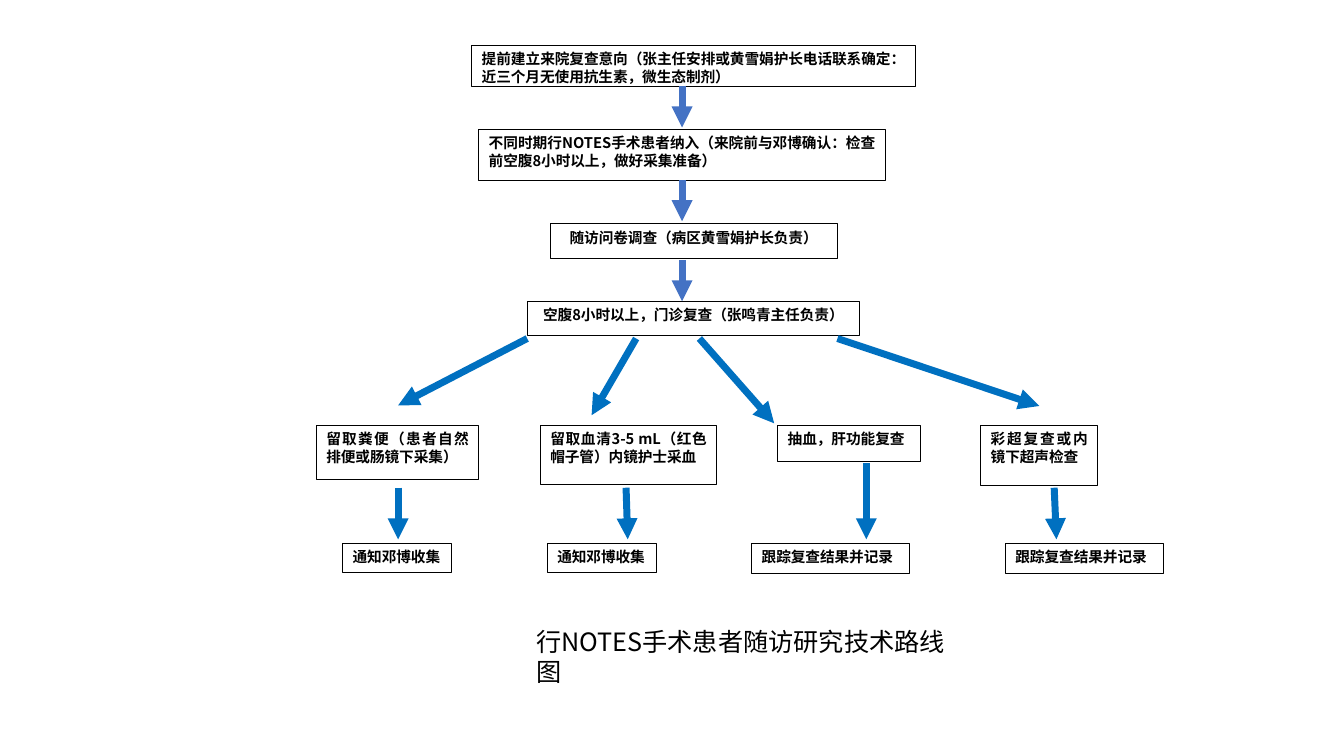
from lxml import etree
from pptx import Presentation
from pptx import util as u
from pptx.dml.color import RGBColor
from pptx.enum import shapes, text
from pptx.oxml import ns

Pt = u.Pt
FONT = "Noto Sans CJK SC"
BLACK = RGBColor(0x00, 0x00, 0x00)
WHITE = RGBColor(0xFF, 0xFF, 0xFF)
STEP_BLUE = RGBColor(0x44, 0x72, 0xC4)
BRANCH_BLUE = RGBColor(0x00, 0x70, 0xC0)
JUSTIFY, CENTER, LEFT = (text.PP_ALIGN.JUSTIFY, text.PP_ALIGN.CENTER,
                         text.PP_ALIGN.LEFT)

presentation = Presentation()
presentation.slide_width, presentation.slide_height = Pt(960), Pt(540)
slide = presentation.slides.add_slide(presentation.slide_layouts[6])


def write(shape, words, size, bold, align, wrap=True):
    frame = shape.text_frame
    frame.word_wrap = wrap
    frame.vertical_anchor = text.MSO_ANCHOR.TOP
    paragraph = frame.paragraphs[0]
    paragraph.alignment = align
    run = paragraph.add_run()
    run.text = words
    for name, value in {"name": FONT, "size": Pt(size), "bold": bold}.items():
        setattr(run.font, name, value)
    run.font.color.rgb = BLACK
    east_asian = etree.SubElement(run.font._element, ns.qn("a:ea"))
    east_asian.set("typeface", FONT)


def add_arrow(start, end, color):
    arrow = slide.shapes.add_connector(
        shapes.MSO_CONNECTOR.STRAIGHT, *[Pt(v) for v in (*start, *end)])
    arrow.line.color.rgb = color
    arrow.line.width = Pt(5)
    head = etree.SubElement(arrow.line._get_or_add_ln(), ns.qn("a:tailEnd"))
    head.set("type", "triangle")
    etree.SubElement(arrow._element.spPr, ns.qn("a:effectLst"))
    return arrow


# Boxes: left, top, width, height, words, alignment, wrap
BRANCH_TOP, RESULT_TOP = 303.8, 388
COLLECT, TRACK = "通知邓博收集", "跟踪复查结果并记录"
boxes = [
    (337, 32.2, 317, 29.2,
     "提前建立来院复查意向（张主任安排或黄雪娟护长电话联系确定：近三个月无使用抗生素，微生态制剂）",
     JUSTIFY, True),
    (342, 92.2, 290.4, 36.4,
     "不同时期行NOTES手术患者纳入（来院前与邓博确认：检查前空腹8小时以上，做好采集准备）",
     JUSTIFY, True),
    (393, 159.6, 205.2, 24.8, "随访问卷调查（病区黄雪娟护长负责）", CENTER, True),
    (376.6, 215.2, 237.6, 24.6, "空腹8小时以上，门诊复查（张鸣青主任负责）", CENTER, True),
    (226, BRANCH_TOP, 116, 38.4, "留取粪便（患者自然排便或肠镜下采集）", JUSTIFY, True),
    (386, BRANCH_TOP, 126, 42, "留取血清3-5 mL（红色帽子管）内镜护士采血", JUSTIFY, True),
    (555.6, BRANCH_TOP, 101.5, 25.8, "抽血，肝功能复查", JUSTIFY, True),
    (700.6, BRANCH_TOP, 83.5, 42.8, "彩超复查或内镜下超声检查", JUSTIFY, True),
    (244.8, RESULT_TOP, 78, 20.6, COLLECT, JUSTIFY, False),
    (391, RESULT_TOP, 78, 20.6, COLLECT, JUSTIFY, False),
    (537, RESULT_TOP, 112.8, 21.6, TRACK, JUSTIFY, True),
    (718.2, RESULT_TOP, 112.8, 21.6, TRACK, JUSTIFY, True),
]
drawn_boxes = []
for left, top, width, height, words, align, wrap in boxes:
    box = slide.shapes.add_shape(
        shapes.MSO_SHAPE.RECTANGLE, Pt(left), Pt(top), Pt(width), Pt(height))
    box.shadow.inherit = False
    box.fill.solid()
    box.fill.fore_color.rgb = WHITE
    box.line.color.rgb = BLACK
    box.line.width = Pt(0.5)
    write(box, words, 10.5, True, align, wrap)
    drawn_boxes.append(box)

# Arrows down the main steps
STEP_X = 487.2
step_arrows = [add_arrow((STEP_X, top), (STEP_X, bottom), STEP_BLUE)
               for top, bottom in [(61.4, 91), (128.6, 158), (186, 215.2)]]
step_arrows[1].begin_connect(drawn_boxes[1], 2)

# Arrows fanning out to the four checks
for start_x, end_x, end_y in [(376.6, 284.4, 289.6), (454.4, 422.6, 296.6),
                              (499.6, 553, 302.4), (598.2, 742.4, 290)]:
    add_arrow((start_x, 241.8), (end_x, end_y), BRANCH_BLUE)

# Arrows from each check to its result
for start_x, start_y, end_x in [(284.4, 348.4, 284.4), (447.2, 348.4, 448.4),
                                (618.8, 331, 618.8), (753, 348.4, 754.6)]:
    add_arrow((start_x, start_y), (end_x, 385.2), BRANCH_BLUE)

# Caption
caption = slide.shapes.add_textbox(Pt(375.8), Pt(443.6), Pt(318.2), Pt(29))
write(caption, "行NOTES手术患者随访研究技术路线图", 18, False, LEFT)

presentation.save("out.pptx")
